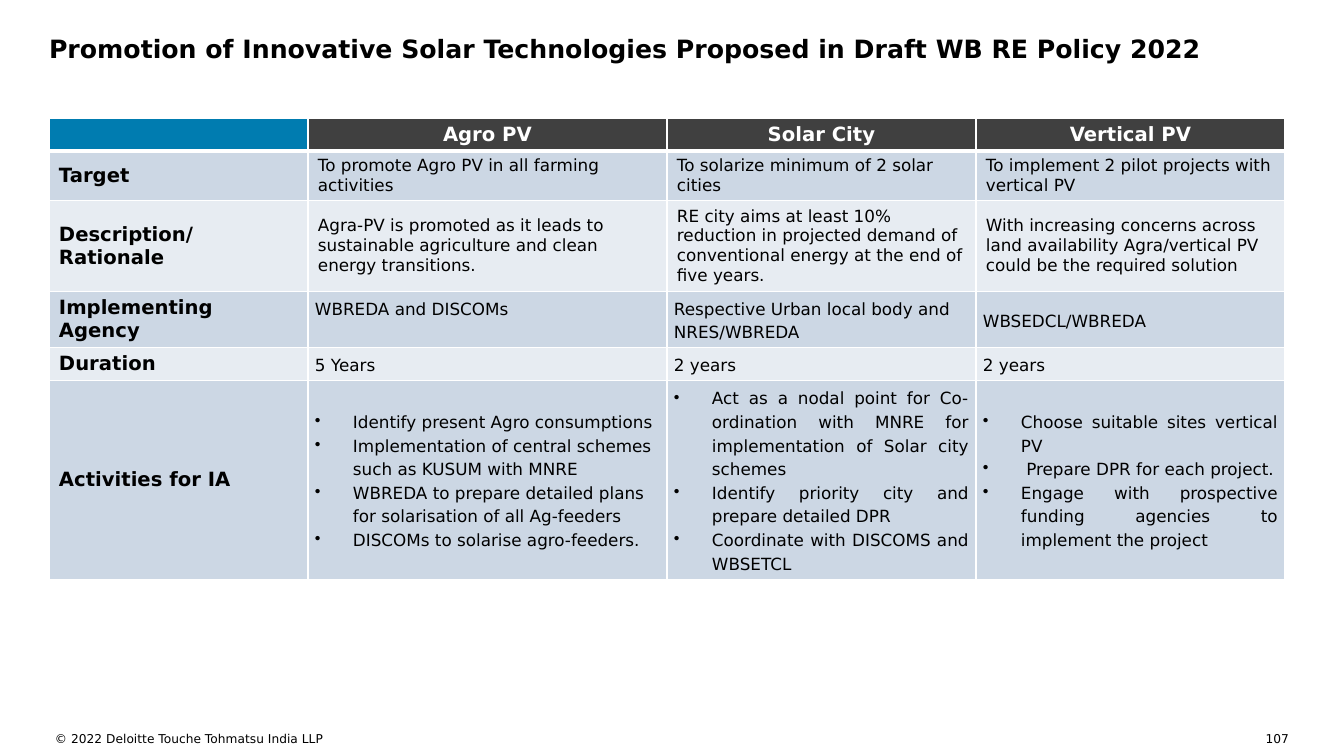
from lxml import etree
from pptx import Presentation
from pptx import util as u
from pptx.dml.color import RGBColor
from pptx.enum import text as t
from pptx.oxml.ns import qn

BLACK = RGBColor(0x00, 0x00, 0x00)
WHITE = RGBColor(0xFF, 0xFF, 0xFF)
BLUE = RGBColor(0x00, 0x7C, 0xB0)
CHARCOAL = RGBColor(0x40, 0x40, 0x40)
BANDS = [RGBColor(0xCC, 0xD7, 0xE4), RGBColor(0xE7, 0xEC, 0xF2)]
LEFT, CENTER, RIGHT, JUSTIFY = (t.PP_ALIGN.LEFT, t.PP_ALIGN.CENTER,
                                t.PP_ALIGN.RIGHT, t.PP_ALIGN.JUSTIFY)


def px(n):
    return u.Emu(round(n * 914400 / 100.8))


def write(frame, lines, size=12, bold=False, color=BLACK, align=LEFT,
          spacing=None, bullets=False):
    """Fill a text frame, one paragraph for each line."""
    frame.word_wrap = True
    for i, line in enumerate(lines):
        para = frame.add_paragraph() if i else frame.paragraphs[0]
        if bullets:
            props = para._p.get_or_add_pPr()
            props.set("marL", str(px(38)))
            props.set("indent", str(-px(38)))
            etree.SubElement(props, qn("a:buChar"), char="•")
        para.alignment = align
        if spacing:
            para.line_spacing = spacing
        run = para.add_run()
        run.text = line
        run.font.name = "DejaVu Sans"
        run.font.size = u.Pt(size)
        run.font.bold = bold
        run.font.color.rgb = color


deck = Presentation()
deck.slide_width, deck.slide_height = px(1344), px(756)
slide = deck.slides.add_slide(deck.slide_layouts[5])

# Title
title = slide.shapes.title
title.left, title.top, title.width, title.height = px(49), px(33), px(1245), px(50)
heading = title.text_frame
heading.margin_left = heading.margin_top = heading.margin_right = heading.margin_bottom = 0
heading.vertical_anchor = t.MSO_ANCHOR.TOP
heading.auto_size = t.MSO_AUTO_SIZE.NONE
write(heading, ["Promotion of Innovative Solar Technologies Proposed in Draft WB RE Policy 2022"],
      size=18, bold=True)

# Table content: a list in a cell is a bulleted list
rows = [
    ["", "Agro PV", "Solar City", "Vertical PV"],
    ["Target",
     "To promote Agro PV in all farming activities",
     "To solarize minimum of 2 solar cities",
     "To implement 2 pilot projects with vertical PV"],
    ["Description/ Rationale",
     "Agra-PV is promoted as it leads to sustainable agriculture and clean energy transitions.",
     "RE city aims at least 10% reduction in projected demand of conventional energy "
     "at the end of five years.",
     "With increasing concerns across land availability Agra/vertical PV could be "
     "the required solution"],
    ["Implementing Agency",
     "WBREDA and DISCOMs",
     "Respective Urban local body and NRES/WBREDA",
     "WBSEDCL/WBREDA"],
    ["Duration", "5 Years", "2 years", "2 years"],
    ["Activities for IA",
     ["Identify present Agro consumptions",
      "Implementation of central schemes such as KUSUM with MNRE",
      "WBREDA to prepare detailed plans for solarisation of all Ag-feeders",
      "DISCOMs to solarise agro-feeders."],
     ["Act as a nodal point for Co-ordination with MNRE for implementation of "
      "Solar city schemes",
      "Identify priority city and prepare detailed DPR",
      "Coordinate with DISCOMS and WBSETCL"],
     ["Choose suitable sites vertical PV",
      " Prepare DPR for each project.",
      "Engage with prospective funding agencies to implement the project"]],
]
col_widths = [259, 359, 309, 309]
row_heights = [33, 49, 91, 56, 33, 199]

# Table
policy = slide.shapes.add_table(len(rows), len(col_widths), px(49), px(118),
                                px(sum(col_widths)), px(sum(row_heights))).table
for column, width in zip(policy.columns, col_widths):
    column.width = px(width)

for r, (row, height) in enumerate(zip(rows, row_heights)):
    policy.rows[r].height = px(height)
    for c, content in enumerate(row):
        cell = policy.cell(r, c)

        # White borders, thicker around the foot of the header
        for side in "LRTB":
            thick = (r, side) in [(0, "B"), (1, "T")]
            border = etree.SubElement(cell._tc.get_or_add_tcPr(), qn("a:ln" + side),
                                      w=str(u.Pt(3 if thick else 1)))
            paint = etree.SubElement(border, qn("a:solidFill"))
            etree.SubElement(paint, qn("a:srgbClr"), val=str(WHITE))
        cell.fill.solid()
        if r == 0:
            cell.fill.fore_color.rgb = CHARCOAL if c else BLUE
        else:
            cell.fill.fore_color.rgb = BANDS[(r - 1) % 2]

        # Lower rows have tight margins and open line spacing
        tight = r >= 3 and c > 0
        cell.vertical_anchor = t.MSO_ANCHOR.MIDDLE
        cell.margin_left = cell.margin_right = px(7 if tight else 10)
        cell.margin_top = cell.margin_bottom = px(0 if tight or not content else 5)
        if not content:
            continue
        bulleted = isinstance(content, list)
        label = r == 0 or c == 0
        if r == 0:
            align = CENTER
        else:
            align = JUSTIFY if bulleted and c > 1 else LEFT
        write(cell.text_frame, content if bulleted else [content],
              size=14 if label else 12, bold=label,
              color=BLACK if r else WHITE, align=align,
              spacing=1.2 if tight else None, bullets=bulleted)

# The Agro PV agency sits one line above the middle
policy.cell(3, 1).margin_bottom = px(23)

# Footer
for note, left, top, width, height, align in [
        ("© 2022 Deloitte Touche Tohmatsu India LLP", 55, 731, 591, 22, LEFT),
        ("107", 1255, 731, 34, 11, RIGHT)]:
    footer = slide.shapes.add_textbox(px(left), px(top), px(width), px(height)).text_frame
    footer.margin_left = footer.margin_top = footer.margin_right = footer.margin_bottom = 0
    write(footer, [note], size=8.7, align=align)

deck.save("out.pptx")
